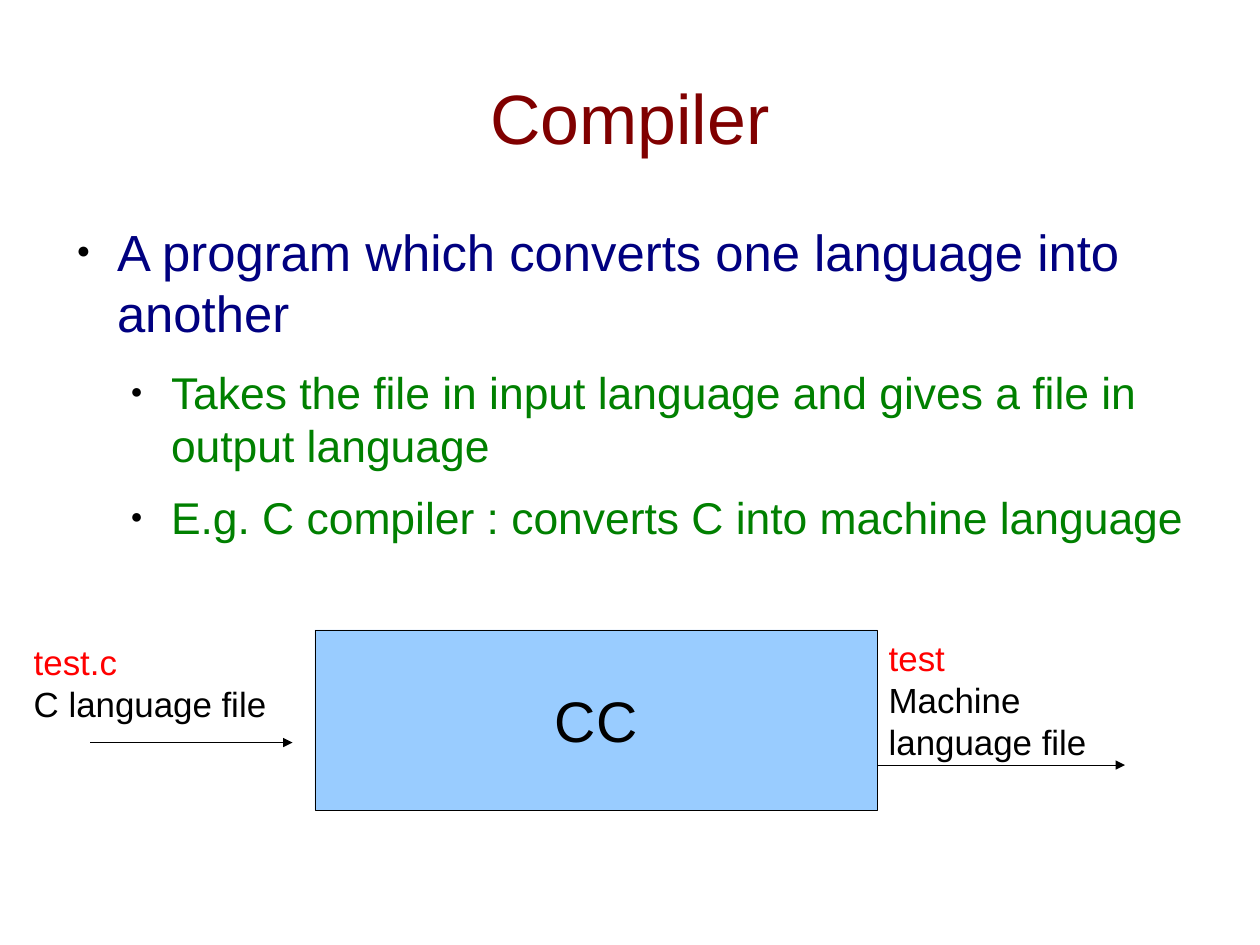
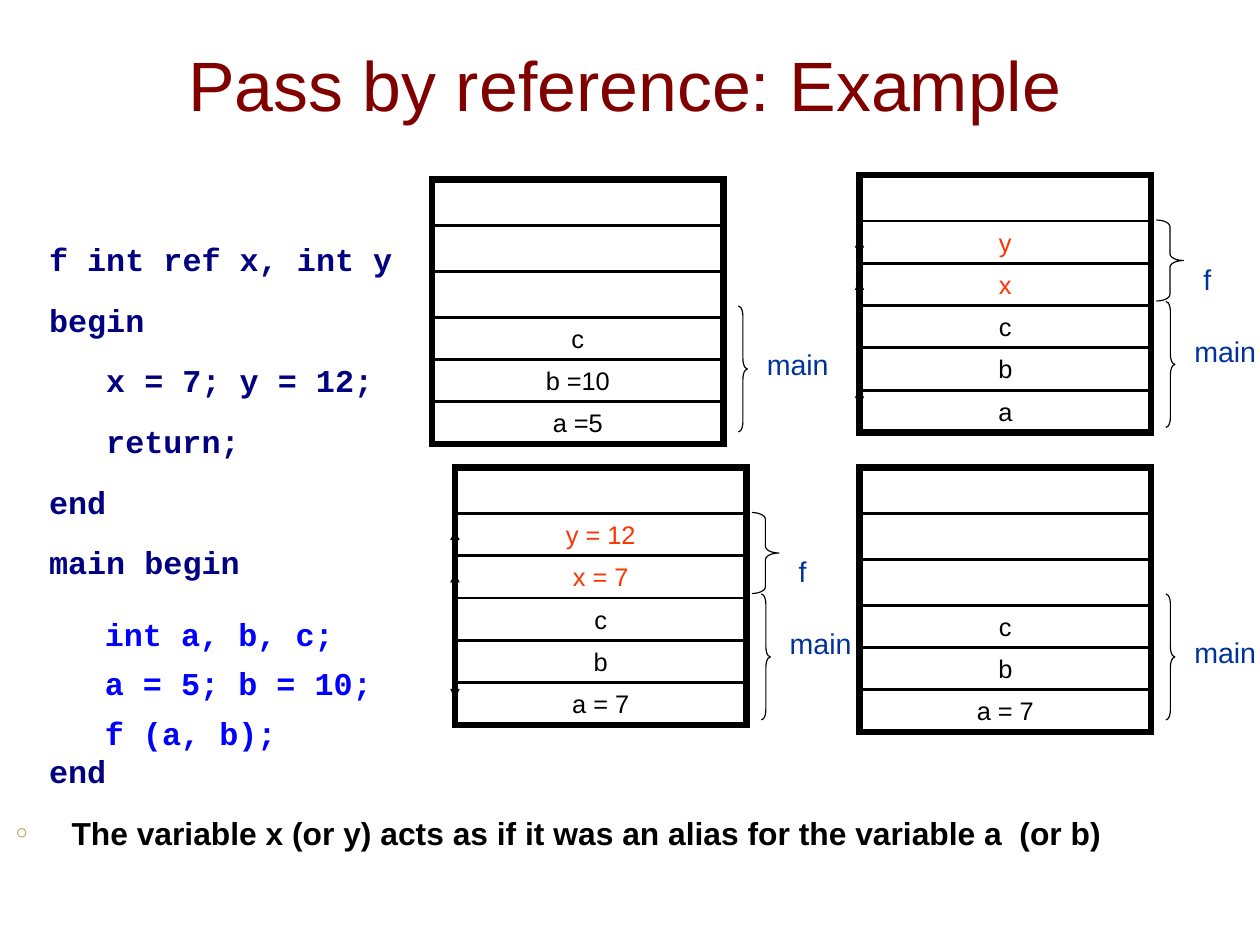
from lxml import etree
from pptx import Presentation
from pptx.dml.color import RGBColor
from pptx.enum.shapes import MSO_CONNECTOR, MSO_SHAPE
from pptx.enum.text import MSO_ANCHOR, MSO_AUTO_SIZE, PP_ALIGN
from pptx.oxml.ns import qn
from pptx.util import Cm, Pt

STRAIGHT = MSO_CONNECTOR.STRAIGHT
RECT = MSO_SHAPE.RECTANGLE
BRACE = MSO_SHAPE.RIGHT_BRACE
MIDDLE = MSO_ANCHOR.MIDDLE
TOP = MSO_ANCHOR.TOP
NO_FIT = MSO_AUTO_SIZE.NONE
LEFT = PP_ALIGN.LEFT
CENTER = PP_ALIGN.CENTER

MAROON = RGBColor(0x80, 0x00, 0x00)
NAVY = RGBColor(0x00, 0x00, 0x80)
BLUE = RGBColor(0x00, 0x00, 0xFF)
GREEN = RGBColor(0x00, 0x80, 0x00)
RED = RGBColor(0xFF, 0x00, 0x00)
ORANGE = RGBColor(0xFF, 0x33, 0x00)
LABEL = RGBColor(0x00, 0x33, 0x99)
SKY = RGBColor(0x99, 0xCC, 0xFF)
OLIVE = RGBColor(0x99, 0x99, 0x33)
BLACK = RGBColor(0x00, 0x00, 0x00)


def add_text(tf, text, size, color, font="Arial", bold=False, align=LEFT, level=0,
             before=0, after=0, left=0, hang=0, bullet=None, bullet_color=BLACK,
             bullet_size=45):
    p = tf.add_paragraph() if tf.text else tf.paragraphs[0]
    p.alignment = align
    p.level = level
    p.line_spacing = Pt(size * 1.2)
    p.space_before = Pt(before)
    p.space_after = Pt(after)
    pPr = p._p.get_or_add_pPr()
    pPr.set("marL", str(Cm(left)))
    pPr.set("indent", str(-Cm(hang)))
    if bullet:
        clr = etree.SubElement(pPr, qn("a:buClr"))
        etree.SubElement(clr, qn("a:srgbClr"), val=str(bullet_color))
        etree.SubElement(pPr, qn("a:buSzPct"), val=str(bullet_size * 1000))
        etree.SubElement(pPr, qn("a:buFont"), typeface="Arial")
        etree.SubElement(pPr, qn("a:buChar"), char=bullet)
    else:
        etree.SubElement(pPr, qn("a:buNone"))
    r = p.add_run()
    r.text = text
    r.font.size = Pt(size)
    r.font.name = font
    r.font.bold = bold
    r.font.color.rgb = color


def add_arrow(s, x1, y1, x2, y2, width, ends=("tailEnd",)):
    cx = s.shapes.add_connector(STRAIGHT, Cm(x1), Cm(y1), Cm(x2), Cm(y2))
    cx.line.color.rgb = BLACK
    cx.line.width = Pt(width)
    ln = cx.line._get_or_add_ln()
    for end in ends:
        etree.SubElement(ln, qn("a:" + end), type="triangle")
    etree.SubElement(cx._element.spPr, qn("a:effectLst"))


prs = Presentation()
prs.slide_width = Cm(28)
prs.slide_height = Cm(21)

slides = []
for title, title_box, body_box in [
    ("Compiler", (1.4, 0.84, 25.2, 3.5), (1.4, 4.9, 25.2, 13.87)),
    ("Pass by reference: Example", (1.3, 0.1, 25.2, 3.5), (1.09, 5.33, 9.4, 14.53)),
]:
    s = prs.slides.add_slide(prs.slide_layouts[1])
    body = s.placeholders[1]
    for sp, box, anchor in [(s.shapes.title, title_box, MIDDLE), (body, body_box, TOP)]:
        sp.left, sp.top, sp.width, sp.height = [Cm(v) for v in box]
        tf = sp.text_frame
        tf.auto_size = NO_FIT
        tf.word_wrap = True
        tf.vertical_anchor = anchor
        tf.margin_left = tf.margin_right = tf.margin_top = tf.margin_bottom = 0
    add_text(s.shapes.title.text_frame, title, 44, MAROON, align=CENTER)
    slides.append((s, body.text_frame))

s, tf = slides[0]
add_text(tf, "A program which converts one language into another", 32, NAVY,
         after=14.2, left=1.2, hang=0.9, bullet="●")
for text in ["Takes the file in input language and gives a file in output language",
             "E.g. C compiler : converts C into machine language"]:
    add_text(tf, text, 28, GREEN, level=1, after=11.3, left=2.4, hang=0.9, bullet="●")

sp = s.shapes.add_shape(RECT, Cm(7), Cm(14), Cm(12.5), Cm(4))
sp.shadow.inherit = False
sp.fill.solid()
sp.fill.fore_color.rgb = SKY
sp.line.color.rgb = BLACK
sp.line.width = Pt(0.5)
sp.text_frame.vertical_anchor = MIDDLE
add_text(sp.text_frame, "CC", 36, BLACK, align=CENTER)

for x, y, name, kind in [(0.5, 14.12, "test.c", "C language file"),
                         (19.5, 14.02, "test", "Machine language file")]:
    tf = s.shapes.add_textbox(Cm(x), Cm(y), Cm(6), Cm(2)).text_frame
    tf.word_wrap = True
    add_text(tf, name, 22, RED)
    add_text(tf, kind, 22, BLACK)

add_arrow(s, 2, 16.5, 6.5, 16.5, 0.25)
add_arrow(s, 19.5, 17, 25, 17, 0.25)

s, tf = slides[1]
CODE = [
    ("f int ref x, int y", NAVY, 0, 0, 14.2),
    ("begin", NAVY, 0, 0, 14.2),
    ("x = 7; y = 12;", NAVY, 1.27, 0, 14.2),
    ("return;", NAVY, 1.27, 0, 14.2),
    ("end", NAVY, 0, 0, 14.2),
    ("main begin", NAVY, 0, 0, 14.2),
    ("int a, b, c;", BLUE, 1.24, 7, 0),
    ("a = 5; b = 10;", BLUE, 1.24, 7, 0),
    ("f (a, b);", BLUE, 1.24, 7, 0),
    ("end", NAVY, 0, 0, 14.2),
]
for text, color, left, before, after in CODE:
    add_text(tf, text, 20, color, font="Courier New", bold=True,
             left=left, before=before, after=after)

tf = s.shapes.add_textbox(Cm(0.1), Cm(17.96), Cm(27.46), Cm(1.1)).text_frame
tf.word_wrap = True
add_text(tf, "The variable x (or y) acts as if it was an alias for the variable a  (or b)",
         20, BLACK, bold=True, left=1.24, hang=1.24, bullet="○",
         bullet_color=OLIVE, bullet_size=65)

EMPTY_ROW, ROW, STACK_W = 1.02, 0.94, 6.48
THICK, THIN = Pt(4.5), Pt(2)
STACKS = [
    (9.6, 3.99, ["", "", "", "c", "b =10", "a =5"]),
    (19.1, 3.89, ["", "y", "x", "c", "b", "a"]),
    (10.11, 10.39, ["", "y = 12", "x = 7", "c", "b", "a = 7"]),
    (19.1, 10.39, ["", "", "", "c", "b", "a = 7"]),
]
for x, y, cells in STACKS:
    in_call = cells[1] != ""
    heights = [ROW if text else EMPTY_ROW for text in cells]
    tbl = s.shapes.add_table(len(cells), 1, Cm(x), Cm(y), Cm(STACK_W), Cm(sum(heights))).table
    tbl.first_row = False
    tbl.horz_banding = False
    last = len(cells) - 1
    for i, text in enumerate(cells):
        tbl.rows[i].height = Cm(heights[i])
        cell = tbl.cell(i, 0)
        cell.vertical_anchor = MIDDLE
        if text:
            add_text(cell.text_frame, text, 16, ORANGE if i < 3 else BLACK, align=CENTER)
        tcPr = cell._tc.get_or_add_tcPr()
        for side, width in [("L", THICK), ("R", THICK),
                            ("T", THICK if i == 0 else THIN),
                            ("B", THICK if i == last else THIN)]:
            ln = etree.SubElement(tcPr, qn("a:ln" + side), w=str(width))
            fill = etree.SubElement(ln, qn("a:solidFill"))
            etree.SubElement(fill, qn("a:srgbClr"), val=str(BLACK))
        cell.fill.background()

    frames = [("main", 6.81, 2.81, 0.2, 2.8, 1.15, 7.19, 3.4 if in_call else 3.6)]
    if in_call:
        frames.append(("f", 6.6, 1.0, 0.6, 1.8, 0.25, 7.39, 1.8))
        add_arrow(s, x, y + 5.13, x, y + 2.34, 0.75, ("headEnd", "tailEnd"))
        add_arrow(s, x, y + 4.19, x, y + 1.4, 0.75)
    for name, dx, dy, w, h, curl, label_dx, label_dy in frames:
        sp = s.shapes.add_shape(BRACE, Cm(x + dx), Cm(y + dy), Cm(w), Cm(h))
        sp.adjustments[0] = curl
        sp.shadow.inherit = False
        sp.fill.background()
        sp.line.color.rgb = BLACK
        sp.line.width = Pt(0.75)
        tf = s.shapes.add_textbox(Cm(x + label_dx), Cm(y + label_dy), Cm(1.7), Cm(1)).text_frame
        tf.margin_right = 0
        add_text(tf, name, 18, LABEL)
        tf.word_wrap = True

prs.save("out.pptx")
